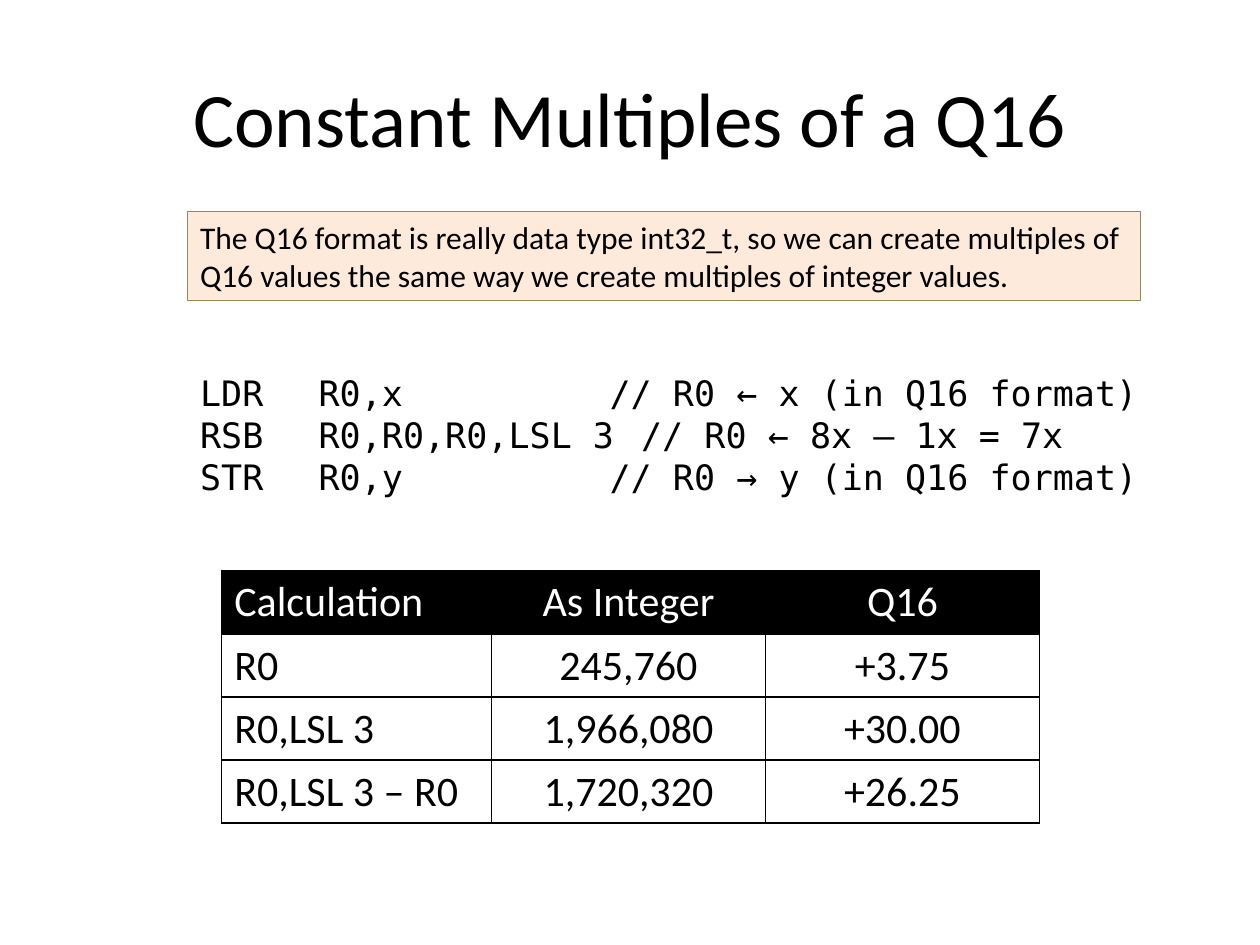
from lxml.etree import SubElement
from pptx import Presentation
from pptx.dml.color import RGBColor as RGB
from pptx.enum.shapes import MSO_SHAPE as SHAPE
from pptx.enum.text import MSO_ANCHOR as ANCHOR, PP_ALIGN as ALIGN
from pptx.oxml.ns import qn
from pptx.util import Inches, Pt

BLACK = RGB(0x00, 0x00, 0x00)
WHITE = RGB(0xFF, 0xFF, 0xFF)
PEACH = RGB(0xFD, 0xEA, 0xDA)
OLIVE = RGB(0x94, 0x8A, 0x54)
SANS, MONO = "Calibri", "DejaVu Sans Mono"
WIDTH, HEIGHT = Inches(10), Inches(7.5)
CODE_TABS = (Inches(0.94), Inches(3.25))
CODE = (
    "LDR\tR0,x\t// R0 ← x (in Q16 format)",
    "RSB\tR0,R0,R0,LSL 3\t// R0 ← 8x – 1x = 7x",
    "STR\tR0,y\t// R0 → y (in Q16 format)",
)
ROWS = (
    ("Calculation", "As Integer", "Q16"),
    ("R0", "245,760", "+3.75"),
    ("R0,LSL 3", "1,966,080", "+30.00"),
    ("R0,LSL 3 – R0", "1,720,320", "+26.25"),
)
COLUMN_SHARES = (0.33, 0.335, 0.335)


def area(left, top, width, height):
    """Turn percentages of the slide's size into a box of lengths."""
    return (int(WIDTH * left / 100), int(HEIGHT * top / 100),
            int(WIDTH * width / 100), int(HEIGHT * height / 100))


def write(p, text, size, font=SANS, color=BLACK, align=ALIGN.LEFT, tabs=()):
    """Fill one paragraph with text, tab stops and a font."""
    p.text = text
    p.alignment = align
    if tabs:
        tab_list = SubElement(p._p.get_or_add_pPr(), qn("a:tabLst"))
        for pos in tabs:
            SubElement(tab_list, qn("a:tab"), pos=str(pos), algn="l")
    p.font.name, p.font.size, p.font.color.rgb = font, Pt(size), color


def add_title(s, box, text):
    """Place the centred slide title."""
    tf = s.shapes.add_textbox(*box).text_frame
    tf.word_wrap, tf.vertical_anchor = True, ANCHOR.MIDDLE
    write(tf.paragraphs[0], text, 44, align=ALIGN.CENTER)


def add_note(s, box, text):
    """Place the tinted explanation box."""
    sp = s.shapes.add_shape(SHAPE.RECTANGLE, *box)
    sp.shadow.inherit = False
    sp.fill.solid()
    sp.fill.fore_color.rgb = PEACH
    sp.line.color.rgb, sp.line.width = OLIVE, Pt(0.75)
    tf = sp.text_frame
    tf.word_wrap, tf.vertical_anchor = True, ANCHOR.TOP
    write(tf.paragraphs[0], text, 18)


def add_code(s, box, lines):
    """Place the assembly listing on its tab stops."""
    tf = s.shapes.add_textbox(*box).text_frame
    tf.word_wrap = True
    for i, line in enumerate(lines):
        p = tf.add_paragraph() if i else tf.paragraphs[0]
        write(p, line, 20, MONO, tabs=CODE_TABS)


def add_borders(cell):
    """Draw a thin black line on every side of a cell."""
    tc_pr = cell._tc.get_or_add_tcPr()
    for i, side in enumerate("LRTB"):
        ln = tc_pr.makeelement(qn(f"a:ln{side}"), {"w": str(Pt(1))})
        fill = SubElement(ln, qn("a:solidFill"))
        SubElement(fill, qn("a:srgbClr"), val=str(BLACK))
        tc_pr.insert(i, ln)


def add_values(s, box, rows):
    """Place the table of calculations under a black header row."""
    table = s.shapes.add_table(len(rows), len(rows[0]), *box).table
    for column, share in zip(table.columns, COLUMN_SHARES):
        column.width = int(box[2] * share)
    for r, row in enumerate(rows):
        for c, text in enumerate(row):
            cell = table.cell(r, c)
            cell.fill.solid()
            cell.fill.fore_color.rgb = WHITE if r else BLACK
            write(cell.text_frame.paragraphs[0], text, 24,
                  color=BLACK if r else WHITE,
                  align=ALIGN.CENTER if c else ALIGN.LEFT)
            add_borders(cell)


def main():
    """Build and save the slide."""
    prs = Presentation()
    prs.slide_width, prs.slide_height = WIDTH, HEIGHT
    s = prs.slides.add_slide(prs.slide_layouts[6])
    add_title(s, area(5, 4, 90, 16.67), "Constant Multiples of a Q16")
    add_code(s, area(14.9, 38.67, 76.5, 14.8), CODE)
    add_values(s, area(17.6, 60.4, 64.9, 26.67), ROWS)
    add_note(s, area(14.9, 22.4, 75.6, 9.43),
             "The Q16 format is really data type int32_t, so we can create "
             "multiples of Q16 values the same way we create multiples of "
             "integer values.")
    prs.save("out.pptx")


if __name__ == "__main__":
    main()
